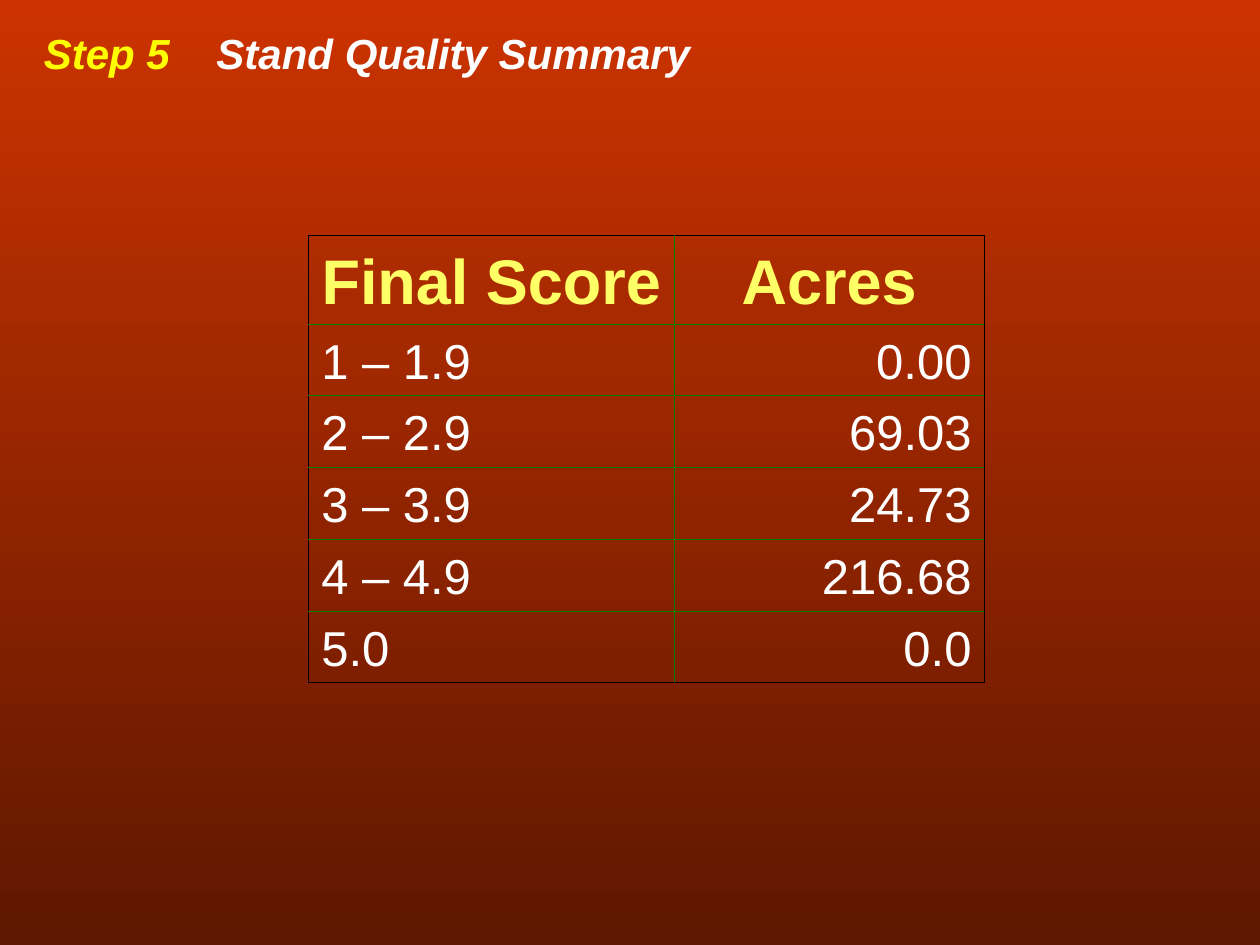
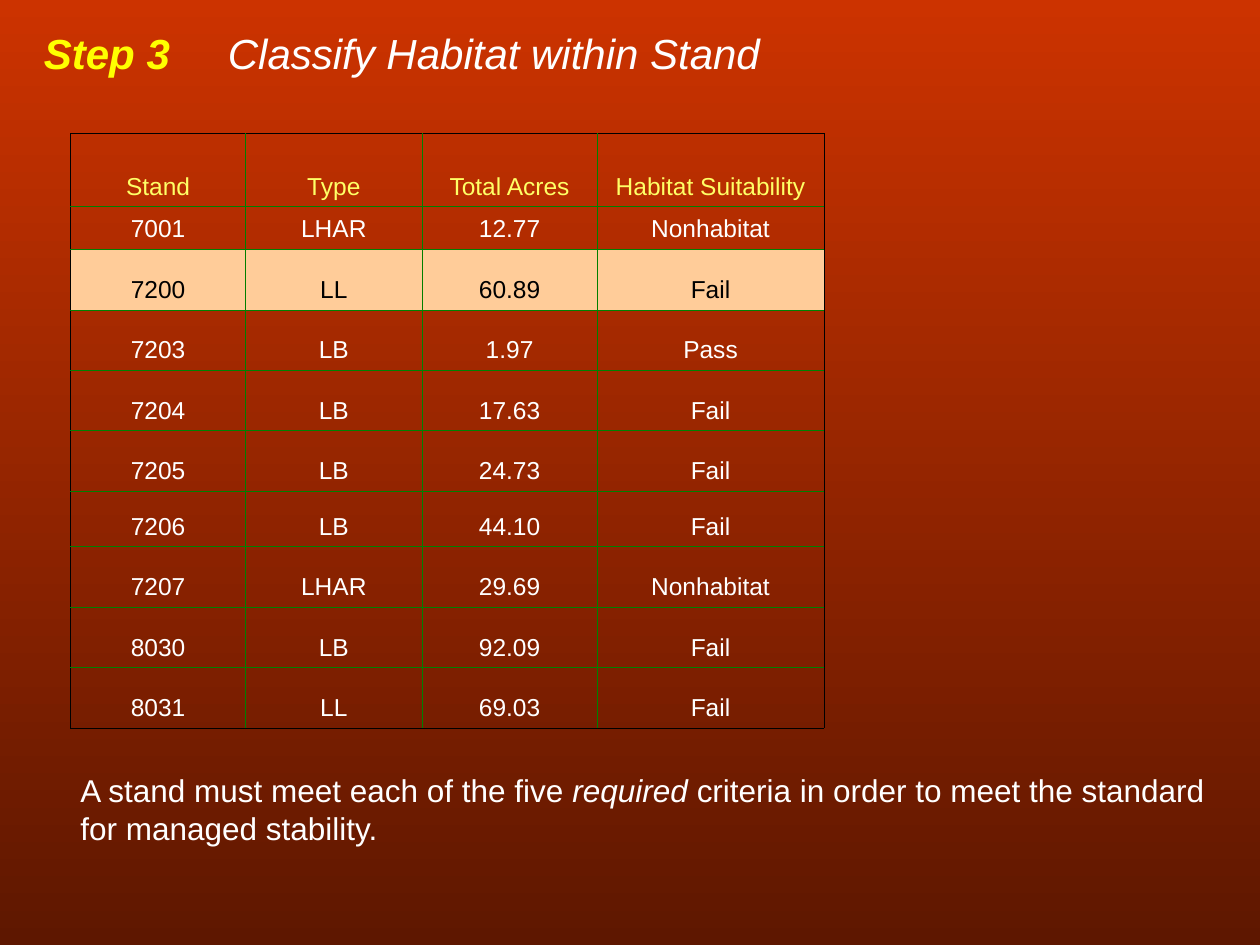
from lxml import etree
from pptx import Presentation
from pptx.dml.color import RGBColor
from pptx.enum import text
from pptx.oxml import ns
from pptx.util import Inches, Pt

COLORS = {
    "top": "CC3300", "bottom": "5E1700", "step": "FFFF00", "header": "FFFF66",
    "body": "FFFFFF", "frame": "000000", "grid": "008000", "highlight": "FFCC99",
}
LEFT, CENTER, RIGHT = text.PP_ALIGN.LEFT, text.PP_ALIGN.CENTER, text.PP_ALIGN.RIGHT


def add_run(paragraph, words, size, color, bold=False, italic=False):
    run = paragraph.add_run()
    run.text = words
    run.font.name = "Arial"
    run.font.size = Pt(size)
    run.font.bold = bold
    run.font.italic = italic
    run.font.color.rgb = RGBColor.from_string(COLORS[color])


def add_grid(slide, left, top, widths, heights, rows, aligns, header_size, body_size,
             header_bold=False, highlighted=None):
    """Add a table with a black frame, green inner lines and clear cells."""
    table = slide.shapes.add_table(
        len(rows), len(widths), Inches(left), Inches(top),
        Inches(sum(widths)), Inches(sum(heights))).table
    table.first_row = table.horz_banding = False
    for column, width in zip(table.columns, widths):
        column.width = Inches(width)
    for row, height in zip(table.rows, heights):
        row.height = Inches(height)

    for r, values in enumerate(rows):
        for c, value in enumerate(values):
            cell = table.cell(r, c)
            cell.vertical_anchor = text.MSO_ANCHOR.BOTTOM
            on_frame = {"lnL": c == 0, "lnR": c == len(widths) - 1,
                        "lnT": r == 0, "lnB": r == len(rows) - 1}
            properties = cell._tc.get_or_add_tcPr()
            for side, outer in on_frame.items():
                line = etree.SubElement(properties, ns.qn(f"a:{side}"), w=str(Pt(0.45)))
                fill = etree.SubElement(line, ns.qn("a:solidFill"))
                etree.SubElement(fill, ns.qn("a:srgbClr"),
                                 val=COLORS["frame" if outer else "grid"])
            if r == highlighted:
                cell.fill.solid()
                cell.fill.fore_color.rgb = RGBColor.from_string(COLORS["highlight"])
            else:
                cell.fill.background()

            paragraph = cell.text_frame.paragraphs[0]
            paragraph.alignment = CENTER if r == 0 else aligns[c]
            if r == 0:
                add_run(paragraph, value, header_size, "header", header_bold)
            else:
                add_run(paragraph, value, body_size, "frame" if r == highlighted else "body")


prs = Presentation()
prs.slide_width, prs.slide_height = Inches(10), Inches(7.5)

backdrop = prs.slide_master.background.fill
backdrop.gradient()
backdrop.gradient_angle = 270
for stop, name, position in zip(backdrop.gradient_stops, ("top", "bottom"), (0, 1)):
    stop.color.rgb = RGBColor.from_string(COLORS[name])
    stop.position = position

# Step, title, box width, tab position of the title, title in bold
headings = [
    ("Step 5", "Stand Quality Summary", 5.33, 1.37, True),
    ("Step 3", "Classify Habitat within Stand", 5.89, 1.46, False),
]
slides = []
for step, title, width, tab, bold in headings:
    slide = prs.slides.add_slide(prs.slide_layouts[6])
    slides.append(slide)
    frame = slide.shapes.add_textbox(
        Inches(0.25), Inches(0.17), Inches(width), Inches(0.5)).text_frame
    frame.word_wrap = False
    heading = frame.paragraphs[0]
    tabs = etree.SubElement(heading._p.get_or_add_pPr(), ns.qn("a:tabLst"))
    etree.SubElement(tabs, ns.qn("a:tab"), pos=str(Inches(tab)), algn="l")
    add_run(heading, step + "\t", 24, "step", bold=True, italic=True)
    add_run(heading, title, 24, "body", bold=bold, italic=True)
quality, habitat = slides

# Stand quality summary
scores = [
    ("Final Score", "Acres"),
    ("1 – 1.9", "0.00"),
    ("2 – 2.9", "69.03"),
    ("3 – 3.9", "24.73"),
    ("4 – 4.9", "216.68"),
    ("5.0", "0.0"),
]
add_grid(quality, 2.45, 1.87, [2.9, 2.46], [0.7] + [0.57] * 5, scores,
         [LEFT, RIGHT], 36, 28, header_bold=True)

# Habitat classification
stands = [
    ("Stand", "Type", "Total Acres", "Habitat Suitability"),
    ("7001", "LHAR", "12.77", "Nonhabitat"),
    ("7200", "LL", "60.89", "Fail"),
    ("7203", "LB", "1.97", "Pass"),
    ("7204", "LB", "17.63", "Fail"),
    ("7205", "LB", "24.73", "Fail"),
    ("7206", "LB", "44.10", "Fail"),
    ("7207", "LHAR", "29.69", "Nonhabitat"),
    ("8030", "LB", "92.09", "Fail"),
    ("8031", "LL", "69.03", "Fail"),
]
stand_heights = [0.58, 0.34] + [0.48] * 4 + [0.44] + [0.48] * 3
add_grid(habitat, 0.56, 1.06, [1.39, 1.4, 1.39, 1.8], stand_heights, stands,
         [CENTER] * 4, 14, 14, highlighted=2)

criteria = habitat.shapes.add_textbox(
    Inches(0.54), Inches(6.07), Inches(9.12), Inches(1)).text_frame
criteria.word_wrap = True
for words, italic in [
    ("A stand must meet each of the five ", False),
    ("required", True),
    (" criteria in order to meet the standard for managed stability.", False),
]:
    add_run(criteria.paragraphs[0], words, 18, "body", italic=italic)

prs.save("out.pptx")
